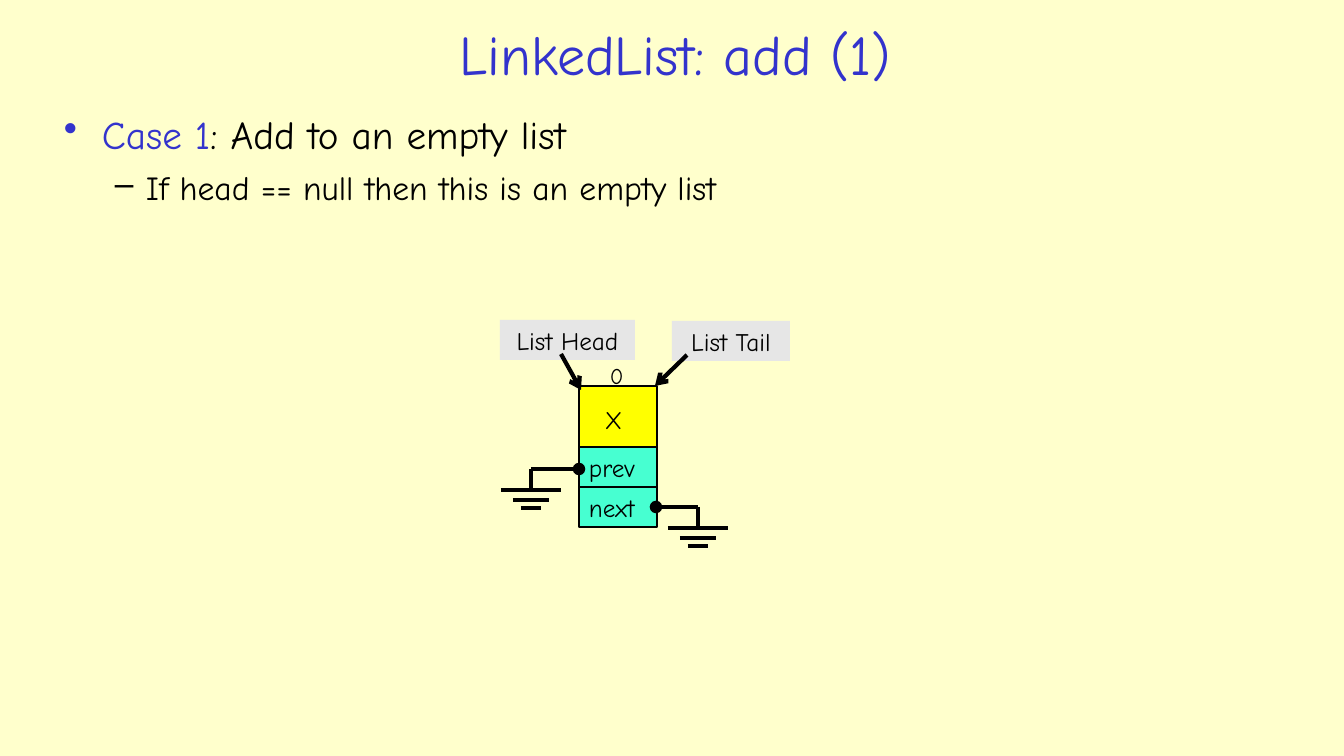
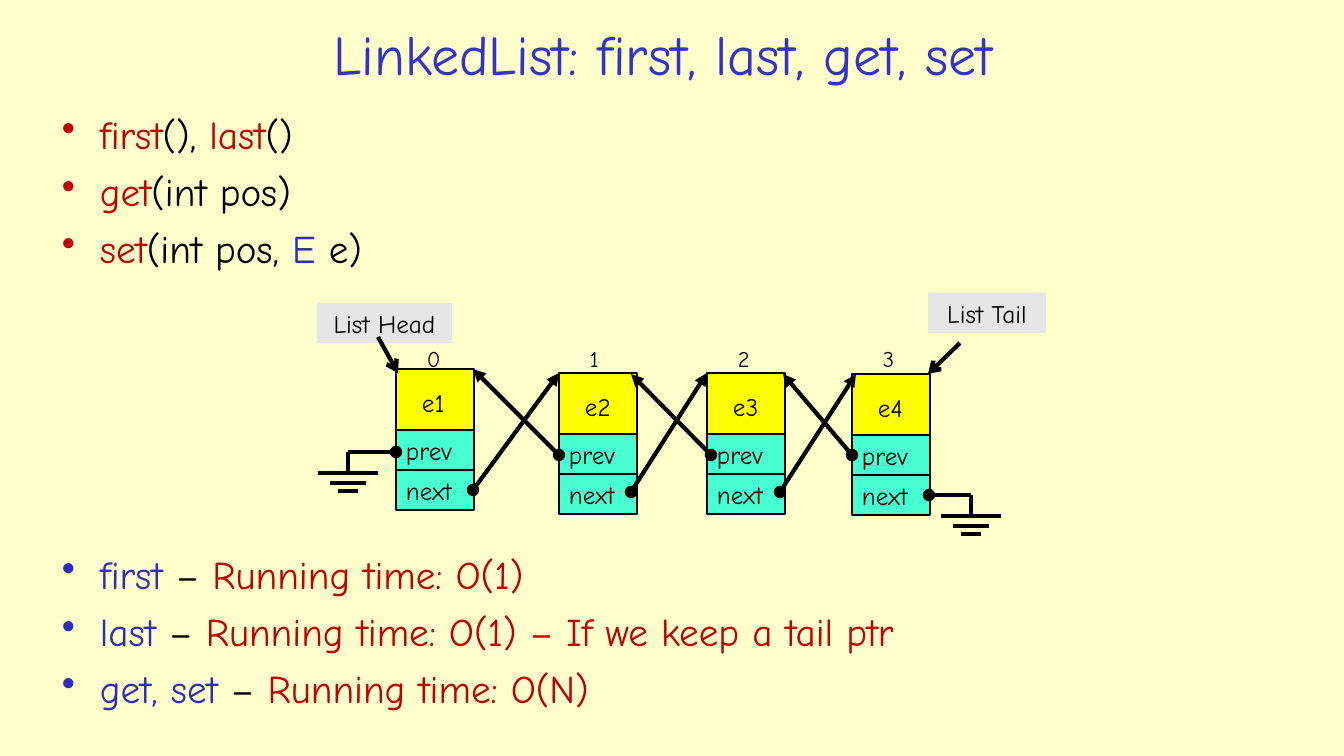
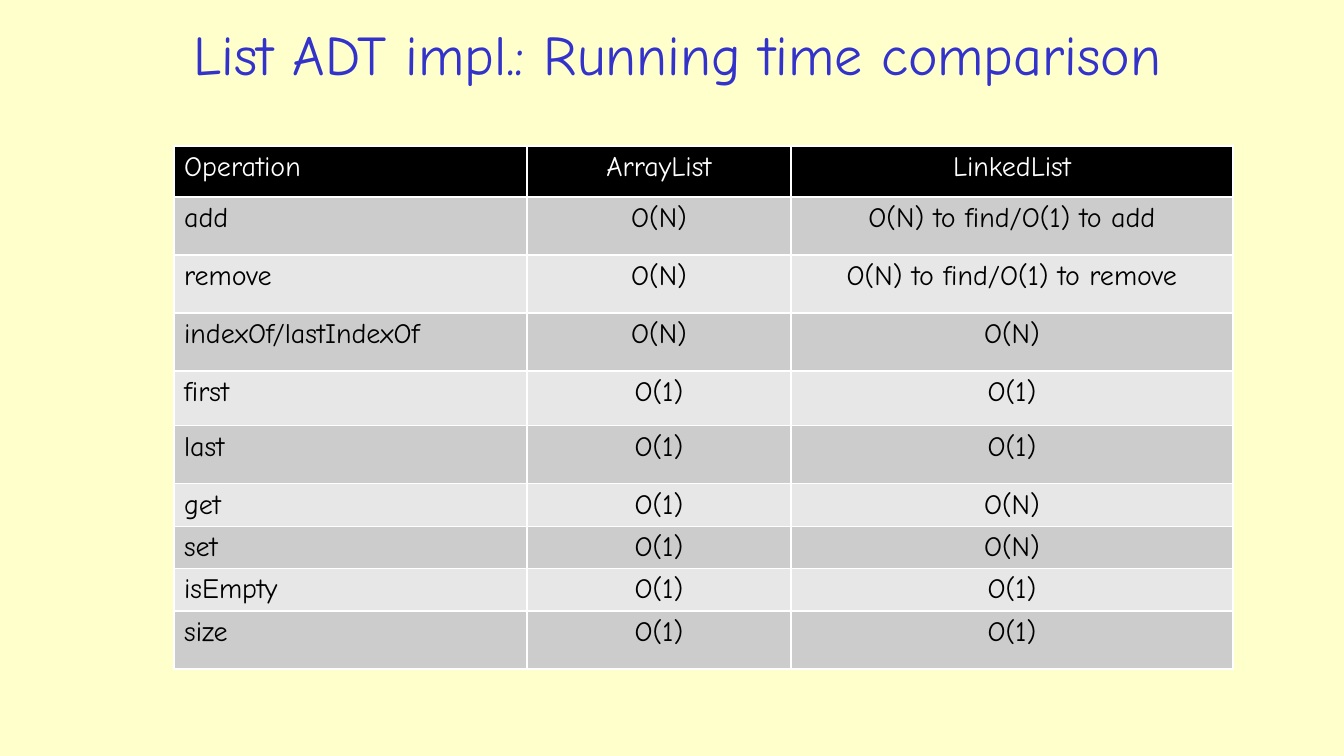
from lxml.etree import SubElement
from pptx import Presentation
from pptx.dml.color import RGBColor
from pptx.enum.shapes import MSO_CONNECTOR, MSO_SHAPE
from pptx.enum.text import MSO_ANCHOR, MSO_AUTO_SIZE, PP_ALIGN
from pptx.oxml.ns import qn
from pptx.util import Pt

PX = 914400 / 100.8
FONT = "Comic Neue"
COLORS = {
    "paper": "FFFFCC", "title": "3333CC", "blue": "2D2DB9", "red": "C00000",
    "black": "000000", "white": "FFFFFF", "label": "E6E6E6",
    "value": "FFFF00", "pointer": "47FFD1", "odd": "CCCCCC", "even": "E7E7E7",
}
NODE_WIDTH, VALUE_HEIGHT, POINTER_HEIGHT = 78, 61, 40


def emu(*lengths):
    return [round(length * PX) for length in lengths]


def rgb(name):
    return RGBColor.from_string(COLORS[name])


def write(para, text, *, size=18, color="black", align=PP_ALIGN.LEFT):
    para.alignment = align
    spans = [(text, color)] if isinstance(text, str) else text
    for words, span_color in spans:
        span = para.add_run()
        span.text = words
        span.font.name = FONT
        span.font.size = Pt(size)
        span.font.bold = False
        span.font.color.rgb = rgb(span_color)


def add_text(page, box, text, **style):
    shape = page.shapes.add_textbox(*emu(*box))
    shape.text_frame.word_wrap = True
    write(shape.text_frame.paragraphs[0], text, **style)


def add_box(page, box, fill, text="", outline=True, **style):
    shape = page.shapes.add_shape(MSO_SHAPE.RECTANGLE, *emu(*box))
    shape.shadow.inherit = False
    shape.fill.solid()
    shape.fill.fore_color.rgb = rgb(fill)
    if outline:
        shape.line.color.rgb = rgb("black")
        shape.line.width = Pt(2)
    else:
        shape.line.fill.background()
    if text:
        shape.text_frame.word_wrap = outline
        write(shape.text_frame.paragraphs[0], text, **style)


def add_line(holder, ends, head=None, tail=None):
    line = holder.shapes.add_connector(MSO_CONNECTOR.STRAIGHT, *emu(*ends))
    line.line.color.rgb = rgb("black")
    line.line.width = Pt(3)
    stroke = line.line._get_or_add_ln()
    for tag, kind in (("a:headEnd", head), ("a:tailEnd", tail)):
        if kind:
            SubElement(stroke, qn(tag), type=kind)
    SubElement(line._element.spPr, qn("a:effectLst"))


def add_page(deck, title, left, width):
    page = deck.slides.add_slide(deck.slide_layouts[5])
    shape = page.shapes.title
    shape.left, shape.top, shape.width, shape.height = emu(left, 15, width, 77)
    frame = shape.text_frame
    frame.word_wrap = True
    frame.auto_size = MSO_AUTO_SIZE.NONE
    frame.vertical_anchor = MSO_ANCHOR.MIDDLE
    write(frame.paragraphs[0], title, size=40, color="title", align=PP_ALIGN.CENTER)
    return page


def add_bullets(page, box, items):
    frame = page.shapes.add_textbox(*emu(*box)).text_frame
    frame.word_wrap = True
    for number, (level, text) in enumerate(items):
        para = frame.add_paragraph() if number else frame.paragraphs[0]
        char, margin, hang, size = (("•", 38, 38, 28), ("–", 82, 31, 24))[level]
        para.level = level
        props = para._p.get_or_add_pPr()
        props.set("marL", str(emu(margin)[0]))
        props.set("indent", str(-emu(hang)[0]))
        SubElement(props, qn("a:buChar"), char=char)
        if number:
            para.space_before = Pt(7.4)
        write(para, text, size=size)


def add_ground(page, left, top, reach):
    group = page.shapes.add_group_shape()
    stem = left + reach
    add_line(group, (left, top, stem, top), head="oval")
    add_line(group, (stem, top, stem, top + 21))
    for half, drop in ((30, 21), (18, 31), (10, 39)):
        add_line(group, (stem - half, top + drop, stem + half, top + drop))


def add_node(page, left, top, value):
    add_box(page, (left, top, NODE_WIDTH, VALUE_HEIGHT), "value")
    add_text(page, (left + 16, top + 13, 49, 40), value)
    for row, name in enumerate(("prev", "next")):
        pointer_top = top + VALUE_HEIGHT + row * POINTER_HEIGHT
        add_box(page, (left, pointer_top, NODE_WIDTH, POINTER_HEIGHT), "pointer", name)


def add_list_diagram(page, left, top, nodes, tail_label, links=()):
    def label(x, y, width, text):
        add_box(page, (x, y, width, 40), "label", text, outline=False, align=PP_ALIGN.CENTER)

    label(left - 79, top - 66, 135, "List Head")
    for index, (dx, dy, value) in enumerate(nodes):
        add_node(page, left + dx, top + dy, value)
        add_text(page, (left + dx + 21, top - 29, 34, 37), str(index), size=16)
    last_left, last_top = left + nodes[-1][0], top + nodes[-1][1]
    label(last_left + tail_label[0], last_top + tail_label[1], 118, "List Tail")
    add_line(page, (left - 18, top - 32, left + 2, top + 4), tail="arrow")
    add_line(page, (last_left + 108, last_top - 31, last_left + 76, last_top), tail="arrow")
    add_ground(page, left, top + 83, -48)
    add_ground(page, last_left + 77, last_top + 121, 42)
    for x1, y1, x2, y2 in links:
        add_line(page, (left + x1, top + y1, left + x2, top + y2), head="oval", tail="triangle")


def add_comparison(page, left, top, widths, heights, rows):
    box = emu(left, top, sum(widths), sum(heights))
    table = page.shapes.add_table(len(rows), len(widths), *box).table
    for column, width in zip(table.columns, emu(*widths)):
        column.width = width
    for row, height in zip(table.rows, emu(*heights)):
        row.height = height
    for r, texts in enumerate(rows):
        fill = ("odd" if r % 2 else "even") if r else "black"
        for c, text in enumerate(texts):
            cell = table.cell(r, c)
            cell.fill.solid()
            cell.fill.fore_color.rgb = rgb(fill)
            write(cell.text_frame.paragraphs[0], text, size=20,
                  color="black" if r else "white",
                  align=PP_ALIGN.CENTER if c else PP_ALIGN.LEFT)


def build_add(deck):
    page = add_page(deck, "LinkedList: add (1)", 204, 943)
    add_bullets(page, (54, 105, 1235, 117), [
        (0, [("Case 1", "title"), (": Add to an empty list", "black")]),
        (1, "If head == null then this is an empty list"),
    ])
    add_list_diagram(page, 579, 386, [(0, 0, "X")], (93, -65))


def build_access(deck):
    page = add_page(deck, "LinkedList: first, last, get, set", 52, 1222)
    add_bullets(page, (52, 105, 1242, 180), [
        (0, [("first", "red"), ("(), ", "black"), ("last", "red"), ("()", "black")]),
        (0, [("get", "red"), ("(int pos)", "black")]),
        (0, [("set", "red"), ("(int pos, ", "black"), ("E", "blue"), (" e)", "black")]),
    ])
    times = [
        ("first", "Running time: O(1)"),
        ("last", "Running time: O(1) – If we keep a tail ptr"),
        ("get, set", "Running time: O(N)"),
    ]
    add_bullets(page, (52, 545, 1242, 175), [
        (0, [(name, "blue"), (" – ", "black"), (time, "red")]) for name, time in times
    ])
    nodes = [(0, 0, "e1"), (163, 4, "e2"), (311, 4, "e3"), (456, 5, "e4")]
    links = [
        (77, 121, 163, 4), (235, 123, 311, 4), (384, 123, 460, 5),
        (163, 86, 77, 0), (315, 86, 235, 5), (456, 86, 387, 5),
    ]
    add_list_diagram(page, 396, 369, nodes, (76, -81), links)


def build_comparison(deck):
    page = add_page(deck, "List ADT impl.: Running time comparison", 44, 1267)
    add_comparison(page, 174, 146, (353, 264, 442),
                   (51, 58, 58, 58, 55, 58, 42, 42, 42, 58), [
        ("Operation", "ArrayList", "LinkedList"),
        ("add", "O(N)", "O(N) to find/O(1) to add"),
        ("remove", "O(N)", "O(N) to find/O(1) to remove"),
        ("indexOf/lastIndexOf", "O(N)", "O(N)"),
        ("first", "O(1)", "O(1)"),
        ("last", "O(1)", "O(1)"),
        ("get", "O(1)", "O(N)"),
        ("set", "O(1)", "O(N)"),
        ("isEmpty", "O(1)", "O(1)"),
        ("size", "O(1)", "O(1)"),
    ])


def main():
    deck = Presentation()
    deck.slide_width, deck.slide_height = emu(1344, 756)
    background = deck.slide_master.background.fill
    background.solid()
    background.fore_color.rgb = rgb("paper")
    for build in (build_add, build_access, build_comparison):
        build(deck)
    deck.save("out.pptx")


if __name__ == "__main__":
    main()
